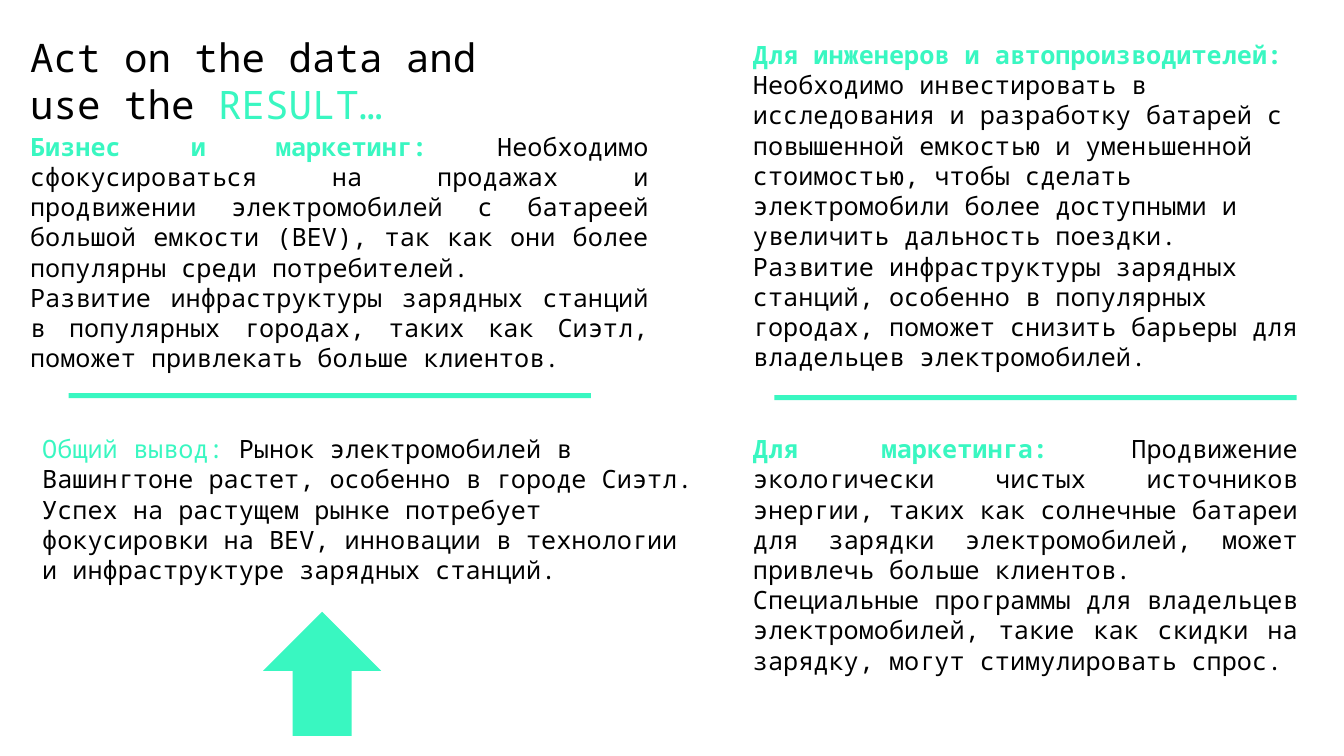
from pptx import Presentation
from pptx.dml.color import RGBColor
from pptx.enum.shapes import MSO_SHAPE
from pptx.enum.text import MSO_ANCHOR, MSO_AUTO_SIZE, PP_ALIGN
from pptx.util import Emu, Pt

MINT = RGBColor(0x39, 0xF7, 0xC1)
BLACK = RGBColor(0, 0, 0)
FONT = "Noto Sans Mono"
PX = 9144  # EMU, 100 px to the inch
LEFT, RIGHT = PP_ALIGN.LEFT, PP_ALIGN.JUSTIFY

TITLE_BOX = (20, 28, 519, 135)
TITLE = [("Act on the data and use the ", BLACK, False), ("RESULT…", MINT, False)]

# box, alignment, bold heading, heading, rest of first paragraph, second paragraph
SECTIONS = [
    ((20, 125, 633, 283), PP_ALIGN.JUSTIFY, True, "Бизнес и маркетинг: ",
     "Необходимо сфокусироваться на продажах и продвижении электромобилей с "
     "батареей большой емкости (BEV), так как они более популярны среди потребителей.",
     "Развитие инфраструктуры зарядных станций в популярных городах, таких как "
     "Сиэтл, поможет привлекать больше клиентов."),
    ((737, 425, 560, 313), PP_ALIGN.JUSTIFY, True, "Для маркетинга: ",
     "Продвижение экологически чистых источников энергии, таких как солнечные "
     "батареи для зарядки электромобилей, может привлечь больше клиентов.",
     "Специальные программы для владельцев электромобилей, такие как скидки на "
     "зарядку, могут стимулировать спрос."),
    ((737, 34, 597, 374), PP_ALIGN.LEFT, True, "Для инженеров и автопроизводителей: ",
     "Необходимо инвестировать в исследования и разработку батарей с повышенной "
     "емкостью и уменьшенной стоимостью, чтобы сделать электромобили более "
     "доступными и увеличить дальность поездки.",
     "Развитие инфраструктуры зарядных станций, особенно в популярных городах, "
     "поможет снизить барьеры для владельцев электромобилей."),
    ((32, 425, 674, 192), PP_ALIGN.LEFT, False, "Общий вывод: ",
     "Рынок электромобилей в Вашингтоне растет, особенно в городе Сиэтл.",
     "Успех на растущем рынке потребует фокусировки на BEV, инновации в "
     "технологии и инфраструктуре зарядных станций."),
]

# preset, box, rotation
ACCENTS = [
    (MSO_SHAPE.DOWN_ARROW, (261, 607, 117, 123), 180),
    (MSO_SHAPE.RECTANGLE, (768, 392, 518, 5), 0),
    (MSO_SHAPE.RECTANGLE, (68, 390, 518, 5), 0),
]


def emu(box):
    return [Emu(v * PX) for v in box]


def write(p, runs, size, align):
    """Fill a paragraph with (text, colour, bold) runs."""
    p.alignment = align
    for text, color, bold in runs:
        r = p.add_run()
        r.text = text
        r.font.name = FONT
        r.font.size = Pt(size)
        r.font.bold = bold
        r.font.color.rgb = color


def add_title(slide):
    title = slide.shapes.title
    title.left, title.top, title.width, title.height = emu(TITLE_BOX)
    tf = title.text_frame
    tf.word_wrap = True
    tf.auto_size = MSO_AUTO_SIZE.NONE
    tf.vertical_anchor = MSO_ANCHOR.TOP
    write(tf.paragraphs[0], TITLE, 28, PP_ALIGN.LEFT)


def add_section(slide, box, align, bold, heading, first, second):
    tf = slide.shapes.add_textbox(*emu(box)).text_frame
    tf.word_wrap = True
    tf.auto_size = MSO_AUTO_SIZE.SHAPE_TO_FIT_TEXT
    write(tf.paragraphs[0], [(heading, MINT, bold), (first, BLACK, False)], 18, align)
    write(tf.add_paragraph(), [(second, BLACK, False)], 18, align)


def add_accent(slide, preset, box, rotation):
    sp = slide.shapes.add_shape(preset, *emu(box))
    sp.rotation = rotation
    sp.shadow.inherit = False
    sp.fill.solid()
    sp.fill.fore_color.rgb = MINT
    sp.line.fill.background()


def main():
    prs = Presentation()
    prs.slide_width, prs.slide_height = emu((1333, 750))
    slide = prs.slides.add_slide(prs.slide_layouts[5])
    add_title(slide)
    for section in SECTIONS:
        add_section(slide, *section)
    for accent in ACCENTS:
        add_accent(slide, *accent)
    prs.save("out.pptx")


if __name__ == "__main__":
    main()
